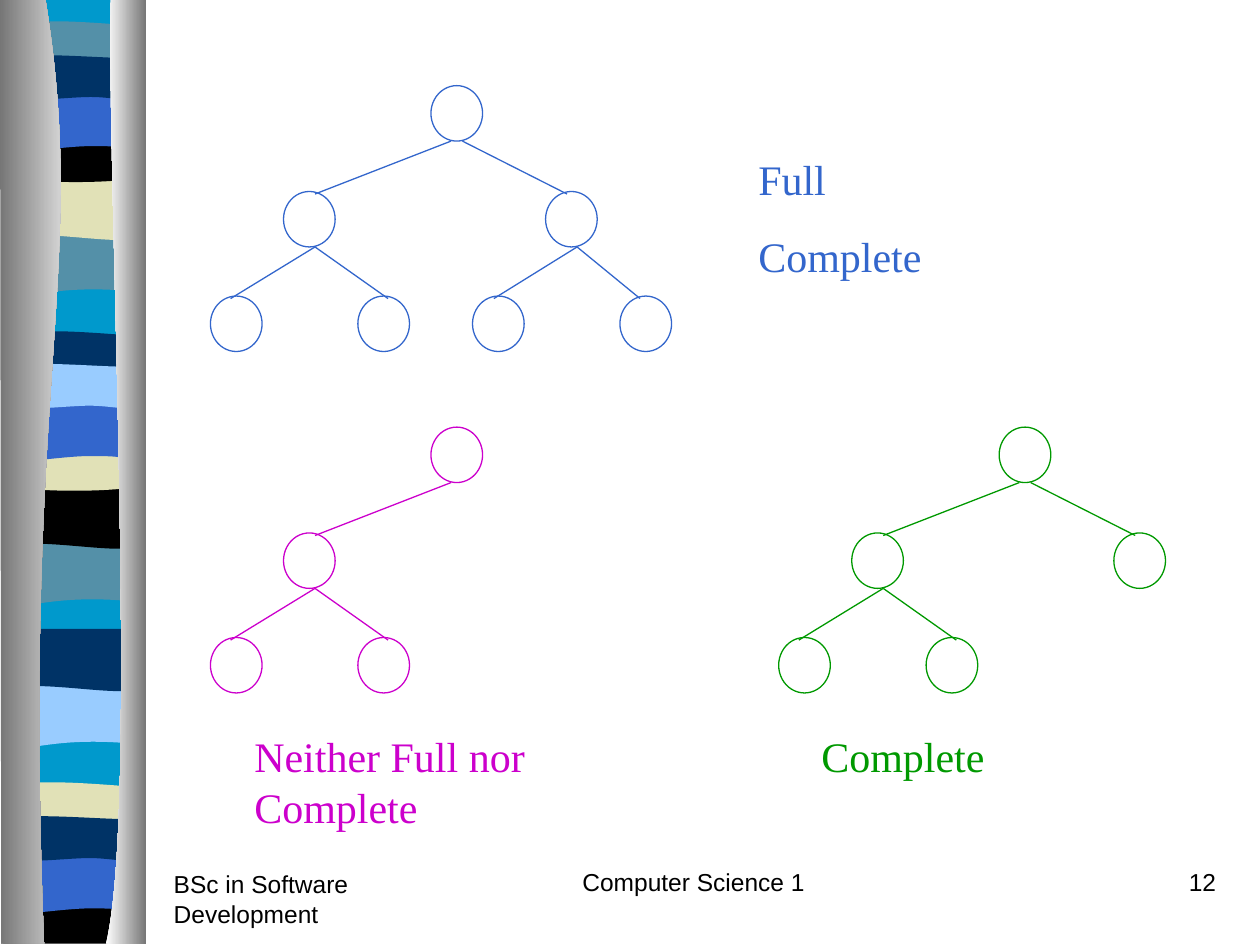
"""Build a slide that compares full and complete binary trees."""
from lxml import etree
from pptx import Presentation
from pptx.dml.color import RGBColor
from pptx.enum.shapes import MSO_CONNECTOR, MSO_SHAPE
from pptx.enum.text import PP_ALIGN
from pptx.oxml.ns import qn
from pptx.util import Inches, Pt

STRAIGHT = MSO_CONNECTOR.STRAIGHT
OVAL = MSO_SHAPE.OVAL
LEFT, CENTER, RIGHT = PP_ALIGN.LEFT, PP_ALIGN.CENTER, PP_ALIGN.RIGHT

BLACK = RGBColor(0x00, 0x00, 0x00)
WHITE = RGBColor(0xFF, 0xFF, 0xFF)
GRAY = RGBColor(0x76, 0x76, 0x76)
CYAN = RGBColor(0x00, 0x99, 0xCC)
TEAL = RGBColor(0x54, 0x90, 0xA8)
CREAM = RGBColor(0xE1, 0xE1, 0xB7)
BLUE = RGBColor(0x33, 0x66, 0xCC)
NAVY = RGBColor(0x00, 0x33, 0x66)
SKY = RGBColor(0x99, 0xCC, 0xFF)
MAGENTA = RGBColor(0xCC, 0x00, 0xCC)
GREEN = RGBColor(0x00, 0x99, 0x00)


def add_outline(shapes, left, top, segments):
    """Draw a closed outline from points and cubic curves placed at left, top."""
    points = [(Inches(left + x), Inches(top + y))
              for segment in segments for x, y in zip(segment[::2], segment[1::2])]
    builder = shapes.build_freeform(*points[0])
    builder.add_line_segments(points[1:], close=True)
    shape = builder.convert_to_shape()
    shape.shadow.inherit = False
    shape.line.fill.background()
    lines = shape._element.spPr.iter(qn("a:lnTo"))
    lines = iter(list(lines))
    for segment in segments[1:]:
        first = next(lines)
        if len(segment) == 6:
            curve = etree.Element(qn("a:cubicBezTo"))
            first.addprevious(curve)
            for line in (first, next(lines), next(lines)):
                curve.append(line[0])
                line.getparent().remove(line)
    return shape


def add_text(shapes, box, lines, font_name, size, color, space, alignment=LEFT):
    """Add a wrapping text box with one paragraph for each line."""
    text_frame = shapes.add_textbox(*[Inches(length) for length in box]).text_frame
    text_frame.word_wrap = True
    text_frame.text = "\n".join(lines)
    for paragraph in text_frame.paragraphs:
        paragraph.alignment = alignment
        paragraph.space_before = Pt(space)
        font = paragraph.runs[0].font
        font.name, font.size, font.color.rgb = font_name, Pt(size), color


presentation = Presentation()
presentation.slide_width = Inches(10)
presentation.slide_height = Inches(7.5)
slide = presentation.slides.add_slide(presentation.slide_layouts[6])

RIBBON = [(1.08, 0), (1.08, 7.48), (0, 7.48), (0, 0)]
FALLING = [(1.08, 0), (1.08, 0.47), (0.33, 0.39, 0.18, 0.55, 0, 0.47), (0, 0)]
RISING = [(1.08, 0), (1.08, 0.47), (0.9, 0.55, 0.33, 0.41, 0, 0.47), (0, 0)]
THIN = [(1.08, 0.05), (1.08, 0.29), (0.9, 0.33, 0.18, 0.33, 0, 0.29), (0, 0.05),
        (0.06, 0, 0.23, 0.01, 0.41, 0.01), (0.59, 0.01, 0.94, 0.04, 1.08, 0.05)]
SAGGING = [(1.08, 0), (1.08, 0.32), (0.9, 0.38, 0.18, 0.38, 0, 0.32), (0, 0),
           (0.66, 0.05, 0.85, 0, 1.08, 0)]
FLOOR = [(1.08, 0), (1.08, 0.37), (0, 0.37), (0, 0), (0.66, 0.05, 0.85, 0, 1.08, 0)]
ARCHED = [(1.08, 0), (1.08, 0.47), (0.91, 0.42, 0.84, 0.42, 0.66, 0.42),
          (0.48, 0.42, 0.16, 0.47, 0, 0.47), (0, 0)]
WAVY = [(1.08, 0.05), (1.08, 0.36), (1.01, 0.41, 0.84, 0.36, 0.66, 0.36),
        (0.48, 0.36, 0.11, 0.41, 0, 0.36), (0, 0.05),
        (0.15, 0, 0.73, 0.05, 0.91, 0.05), (1.09, 0.05, 1.04, 0.05, 1.08, 0.05)]

bands = [
    (RIBBON, 0.06, -0.01, CYAN),
    (FALLING, 0.06, 1.85, TEAL), (RISING, 0.06, 1.41, CREAM), (THIN, 0.06, 0.16, TEAL),
    (SAGGING, 0.06, 1.08, BLACK), (ARCHED, 0.06, 0.74, BLUE), (WAVY, 0.06, 0.41, NAVY),
    (FALLING, 0.05, 4.31, TEAL), (RISING, 0.05, 3.86, BLACK), (THIN, 0.05, 2.62, NAVY),
    (SAGGING, 0.05, 3.53, CREAM), (ARCHED, 0.05, 3.2, BLUE), (WAVY, 0.05, 2.86, SKY),
    (FALLING, 0.06, 5.44, SKY), (RISING, 0.06, 4.99, NAVY), (THIN, 0.05, 6.2, CREAM),
    (FLOOR, 0.05, 7.12, BLACK), (ARCHED, 0.05, 6.79, BLUE), (WAVY, 0.05, 6.45, NAVY),
]
sidebar = slide.shapes.add_group_shape().shapes
for profile, left, top, color in bands:
    band = add_outline(sidebar, left, top, profile)
    band.fill.solid()
    band.fill.fore_color.rgb = color

LEFT_PILLAR = [(0.36, -0.01), (0.71, 2.16, 0.17, 2.96, 0.35, 7.49), (0.01, 7.49), (0, -0.01)]
RIGHT_PILLAR = [(0.88, -0.01), (0.84, 1.25, 1.11, 6.46, 0.84, 7.49), (1.16, 7.49), (1.16, 0)]
for profile, colors in ((LEFT_PILLAR, (GRAY, WHITE)), (RIGHT_PILLAR, (WHITE, GRAY))):
    pillar = add_outline(sidebar, 0, 0, profile)
    pillar.fill.gradient()
    pillar.fill.gradient_angle = 0
    for stop, color in zip(pillar.fill.gradient_stops, colors):
        stop.color.rgb = color

NODE_WIDTH, NODE_HEIGHT = 0.41, 0.44
NODES = {
    "root": (0, 0), "left": (-1.17, 0.84), "right": (0.91, 0.84),
    "left-left": (-1.75, 1.67), "left-right": (-0.58, 1.67),
    "right-left": (0.33, 1.67), "right-right": (1.5, 1.67),
}
EDGES = [
    ("root", "left", 0.16, 0.25), ("root", "right", 0.25, 0.17),
    ("left", "left-left", 0.25, 0.16), ("left", "left-right", 0.25, 0.24),
    ("right", "right-left", 0.25, 0.17), ("right", "right-right", 0.25, 0.16),
]
SMALL_TREE = ["root", "left", "left-left", "left-right"]
trees = [
    (3.42, 0.68, BLUE, list(NODES), (5.92, 1.17, 1.67, 1.11), ["Full", "Complete"]),
    (3.42, 3.39, MAGENTA, SMALL_TREE, (1.92, 5.75, 2.5, 0.9), ["Neither Full nor Complete"]),
    (7.93, 3.39, GREEN, SMALL_TREE + ["right"], (6.42, 5.75, 1.67, 0.5), ["Complete"]),
]
for root_left, root_top, color, names, label_box, label in trees:
    tree = slide.shapes.add_group_shape().shapes
    places = {name: (root_left + NODES[name][0], root_top + NODES[name][1]) for name in names}
    for left, top in places.values():
        node = tree.add_shape(OVAL, Inches(left), Inches(top),
                              Inches(NODE_WIDTH), Inches(NODE_HEIGHT))
        node.shadow.inherit = False
        node.fill.background()
        node.line.color.rgb = color
        node.line.width = Pt(0.75)
    for parent, child, parent_shift, child_shift in EDGES:
        if child not in places:
            continue
        (parent_left, parent_top), (child_left, child_top) = places[parent], places[child]
        edge = tree.add_connector(
            STRAIGHT, Inches(parent_left + parent_shift), Inches(parent_top + NODE_HEIGHT),
            Inches(child_left + child_shift), Inches(child_top + 0.02))
        edge.line.color.rgb = color
        edge.line.width = Pt(0.75)
        etree.SubElement(edge._element.spPr, qn("a:effectLst"))
    add_text(tree, label_box, label, "Times New Roman", 24, color, 15)

footers = [
    ((3.92, 6.83, 3.17, 0.5), "Computer Science 1", CENTER),
    ((7.67, 6.83, 2.08, 0.5), "12", RIGHT),
    ((1.28, 6.85, 2.08, 0.5), "BSc in Software Development", LEFT),
]
for box, text, alignment in footers:
    add_text(slide.shapes, box, [text], "Arial", 14, BLACK, 8.8, alignment)

presentation.save("out.pptx")
